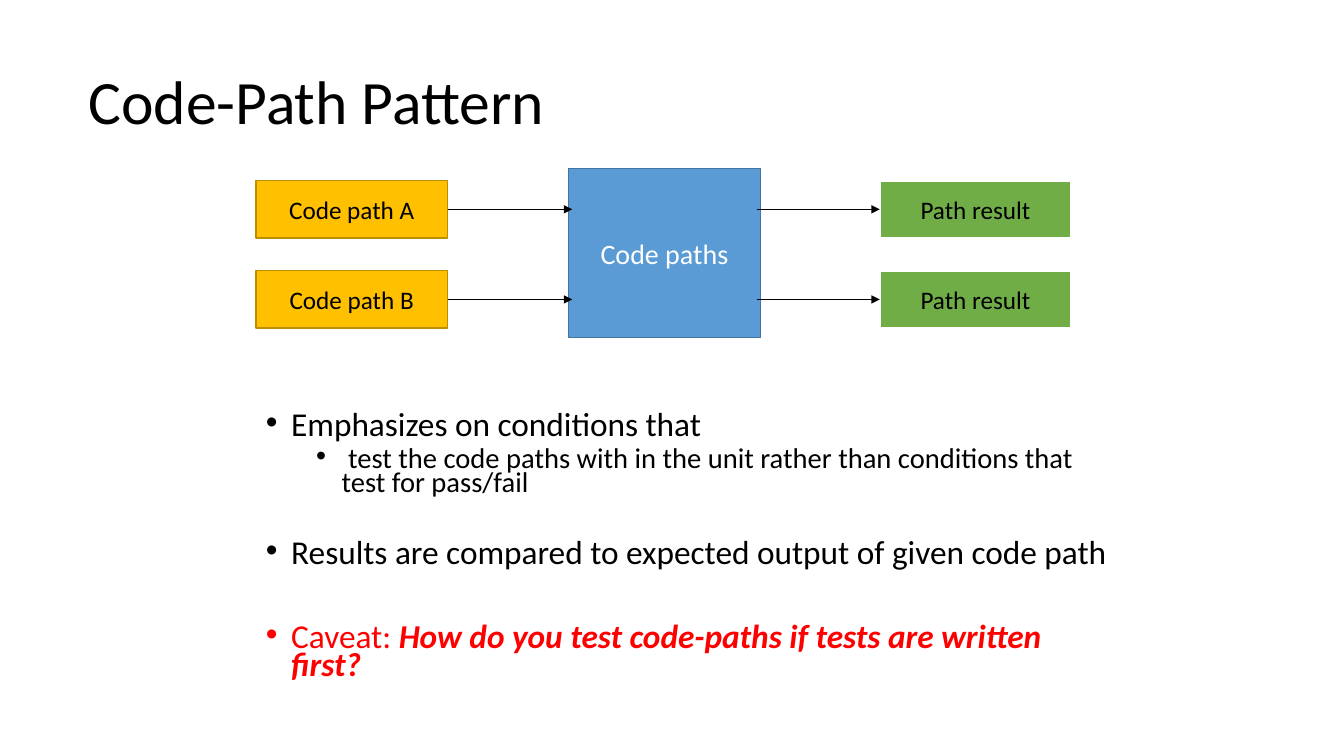
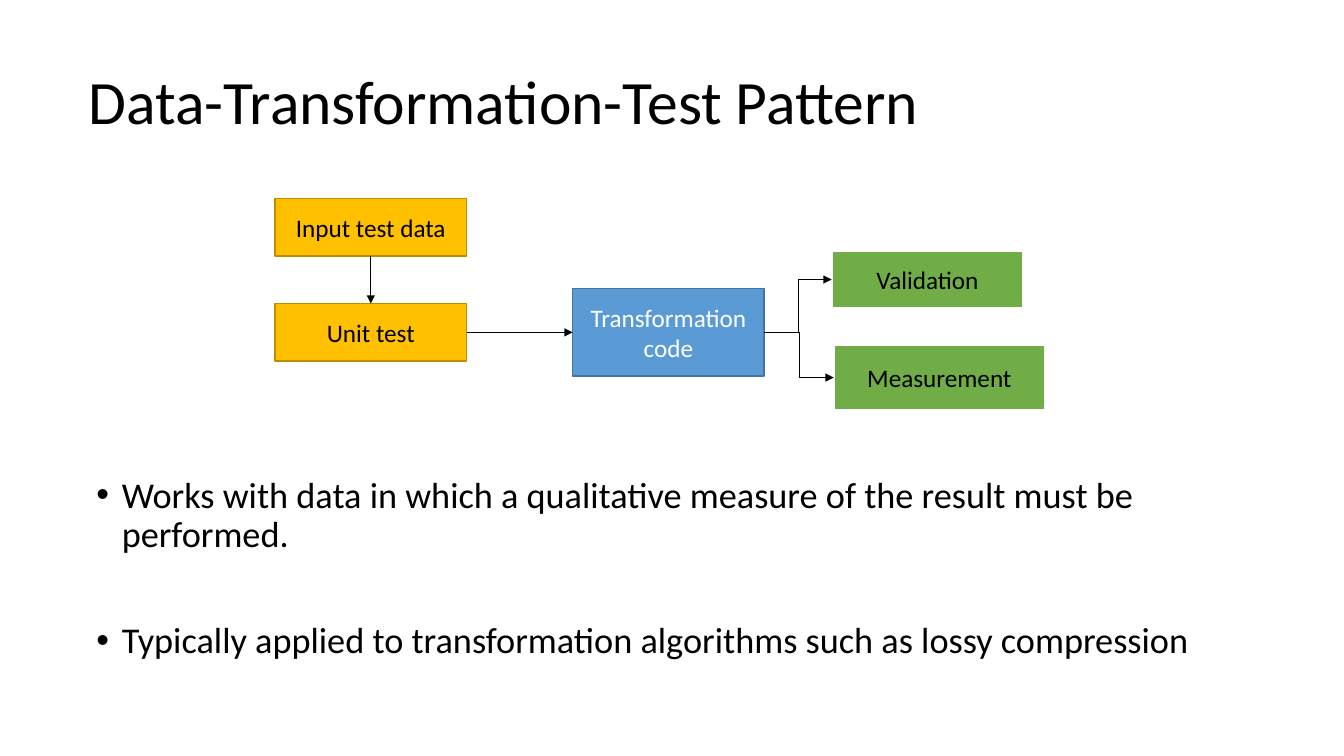
from lxml.etree import SubElement
from pptx import Presentation
from pptx.dml.color import RGBColor
from pptx.enum.shapes import MSO_CONNECTOR, MSO_SHAPE
from pptx.enum.text import MSO_ANCHOR, PP_ALIGN
from pptx.oxml.ns import qn
from pptx.util import Cm, Pt

HUES = {
    "black": "000000", "white": "FFFFFF", "red": "FF0000",
    "blue": "5B9BD5", "navy": "43739E",
    "gold": "FFC000", "brown": "BD8E00", "green": "70AD47",
}
# fill, line, line width, text colour
KINDS = {
    "input": ("gold", "brown", 1, "black"),
    "code": ("blue", "navy", 1, "white"),
    "result": ("green", "white", 1.5, "black"),
}
WIDE, HIGH = 4.83, 1.45
TOP, LEFT, BOTTOM, RIGHT = range(4)


def hue(name):
    return RGBColor.from_string(HUES[name])


def style(item, form):
    for key, value in form.items():
        setattr(item, key, value)


def write(para, text, size, color="black", **form):
    run = para.add_run()
    run.text = text
    style(run.font, {"name": "Calibri", "size": Pt(size), **form})
    run.font.color.rgb = hue(color)


def frame(slide, x, y, w, h, anchor):
    """Add a wrapping text box and return its text frame."""
    text = slide.shapes.add_textbox(Cm(x), Cm(y), Cm(w), Cm(h)).text_frame
    style(text, {"word_wrap": True, "vertical_anchor": anchor})
    return text


def start(deck, title):
    """Add a blank slide with the shared title."""
    slide = deck.slides.add_slide(deck.slide_layouts[6])
    para = frame(slide, 1.98, 1.52, 29.36, 2.21, MSO_ANCHOR.MIDDLE).paragraphs[0]
    para.line_spacing = 0.9
    write(para, title, 44)
    return slide


def bullets(slide, x, y, w, h, pitch, items):
    """Each item is (level, space before, size, runs of (text, format))."""
    text = frame(slide, x, y, w, h, MSO_ANCHOR.TOP)
    for pos, (level, gap, size, runs) in enumerate(items):
        para = text.add_paragraph() if pos else text.paragraphs[0]
        style(para, {"level": level, "line_spacing": pitch,
                     "space_before": Pt(gap)})
        props = para._p.get_or_add_pPr()
        props.set("marL", str(Cm(0.64 + 1.27 * level)))
        props.set("indent", str(Cm(-0.64)))
        SubElement(props, qn("a:buFont"), typeface="Arial")
        SubElement(props, qn("a:buChar"), char="•")
        for words, form in runs:
            write(para, words, size, **form)


def box(slide, kind, text, x, y, w=WIDE, h=HIGH, size=18):
    fill, edge, thick, ink = KINDS[kind]
    shape = slide.shapes.add_shape(
        MSO_SHAPE.RECTANGLE, Cm(x), Cm(y), Cm(w), Cm(h))
    shape.shadow.inherit = False
    shape.fill.solid()
    shape.fill.fore_color.rgb = hue(fill)
    shape.line.color.rgb = hue(edge)
    shape.line.width = Pt(thick)
    style(shape.text_frame, {"word_wrap": True,
                             "vertical_anchor": MSO_ANCHOR.MIDDLE})
    para = shape.text_frame.paragraphs[0]
    para.alignment = PP_ALIGN.CENTER
    write(para, text, size, ink)
    return shape


def spot(shape, side):
    """Middle of one side of a shape."""
    if side in (TOP, BOTTOM):
        return (shape.left + shape.width // 2,
                shape.top + (shape.height if side == BOTTOM else 0))
    return (shape.left + (shape.width if side == RIGHT else 0),
            shape.top + shape.height // 2)


def arrow(slide, tail, head, bent=False):
    """Each end is a (shape, side) to join or a free (x, y) point."""
    ends = [end if isinstance(end[0], int) else spot(*end)
            for end in (tail, head)]
    kind = MSO_CONNECTOR.ELBOW if bent else MSO_CONNECTOR.STRAIGHT
    line = slide.shapes.add_connector(kind, *ends[0], *ends[1])
    for end, join in ((tail, line.begin_connect), (head, line.end_connect)):
        if not isinstance(end[0], int):
            join(*end)
    line.line.color.rgb = hue("black")
    line.line.width = Pt(0.5)
    SubElement(line.line._get_or_add_ln(), qn("a:tailEnd"), type="triangle")
    SubElement(line._element.spPr, qn("a:effectLst"))


def paths(deck):
    slide = start(deck, "Code-Path Pattern")
    bullets(slide, 6.45, 10.31, 21.95, 7.21, 0.7, [
        (0, 0, 23.8, [("Emphasizes on conditions that", {})]),
        (1, 5, 20.4, [(" test the code paths with in the unit rather than "
                       "conditions that test for pass/fail", {})]),
        (0, 32, 23.8, [("Results are compared to expected output of given "
                        "code path", {})]),
        (0, 40, 23.8, [("Caveat: ", {"color": "red"}),
                       ("How do you test code-paths if tests are written "
                        "first?",
                        {"color": "red", "bold": True, "italic": True})]),
    ])
    code = box(slide, "code", "Code paths", 14.33, 4.24, h=4.27, size=20)
    inset = Cm(0.09)
    for row, name in enumerate("AB"):
        y = 4.55 + 2.27 * row
        entry = box(slide, "input", f"Code path {name}", 6.45, y)
        result = box(slide, "result", "Path result", 22.17, y)
        mid = spot(entry, RIGHT)[1]
        arrow(slide, (entry, RIGHT), (code.left + inset, mid))
        arrow(slide, (code.left + code.width - inset, mid), (result, LEFT))


def transform(deck):
    slide = start(deck, "Data-Transformation-Test Pattern")
    bullets(slide, 2.18, 11.89, 29.36, 4.95, 0.9, [
        (0, 0, 25.9, [("Works with data in which a qualitative measure of "
                       "the result must be performed.", {})]),
        (0, 48, 25.9, [("Typically applied to transformation algorithms "
                        "such as lossy compression", {})]),
    ])
    code = box(slide, "code", "Transformation code", 14.43, 7.27, h=2.21)
    data = box(slide, "input", "Input test data", 6.93, 5)
    test = box(slide, "input", "Unit test", 6.93, 7.65)
    valid = box(slide, "result", "Validation", 20.96, 6.32)
    gauge = box(slide, "result", "Measurement", 21.01, 8.69, 5.33, 1.65)
    arrow(slide, (data, BOTTOM), (test, TOP))
    arrow(slide, (test, RIGHT), (code, LEFT))
    for result in (valid, gauge):
        arrow(slide, (code, RIGHT), (result, LEFT), bent=True)


def main():
    deck = Presentation()
    style(deck, {"slide_width": Cm(33.87), "slide_height": Cm(19.05)})
    paths(deck)
    transform(deck)
    deck.save("out.pptx")


if __name__ == "__main__":
    main()
